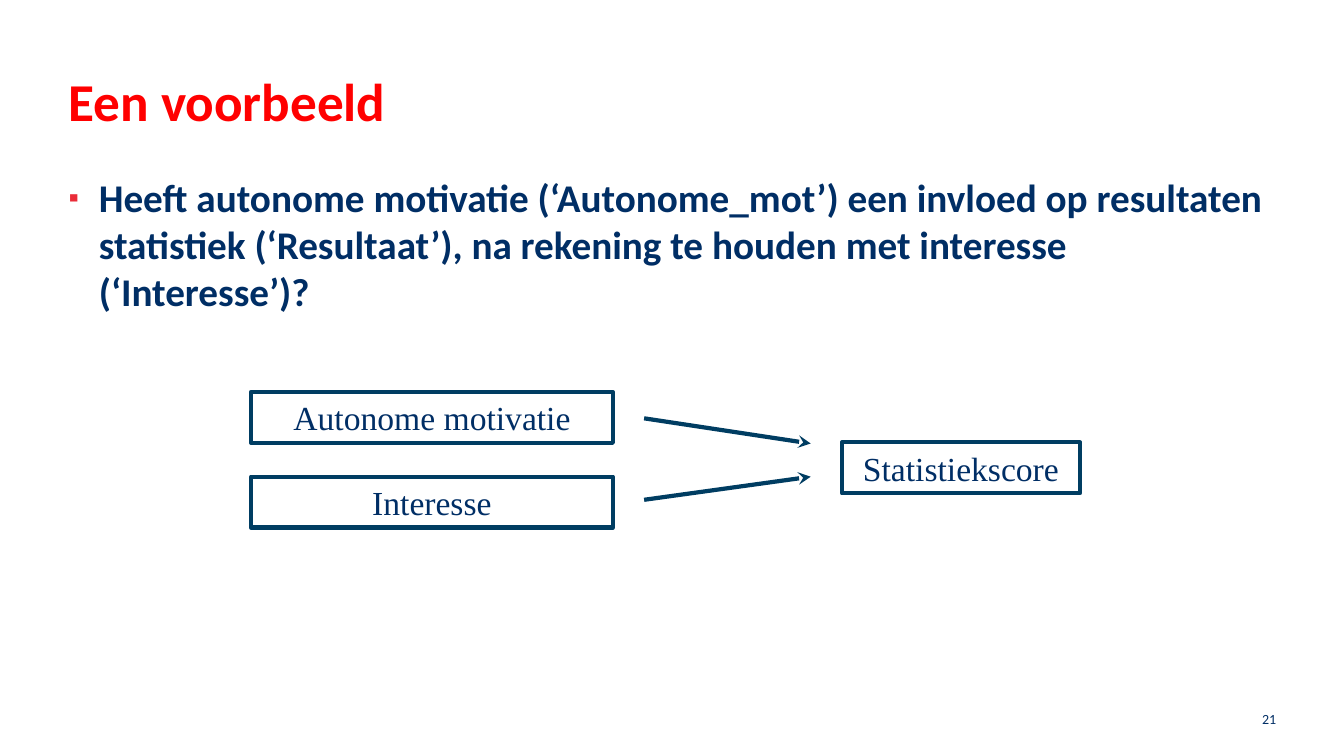
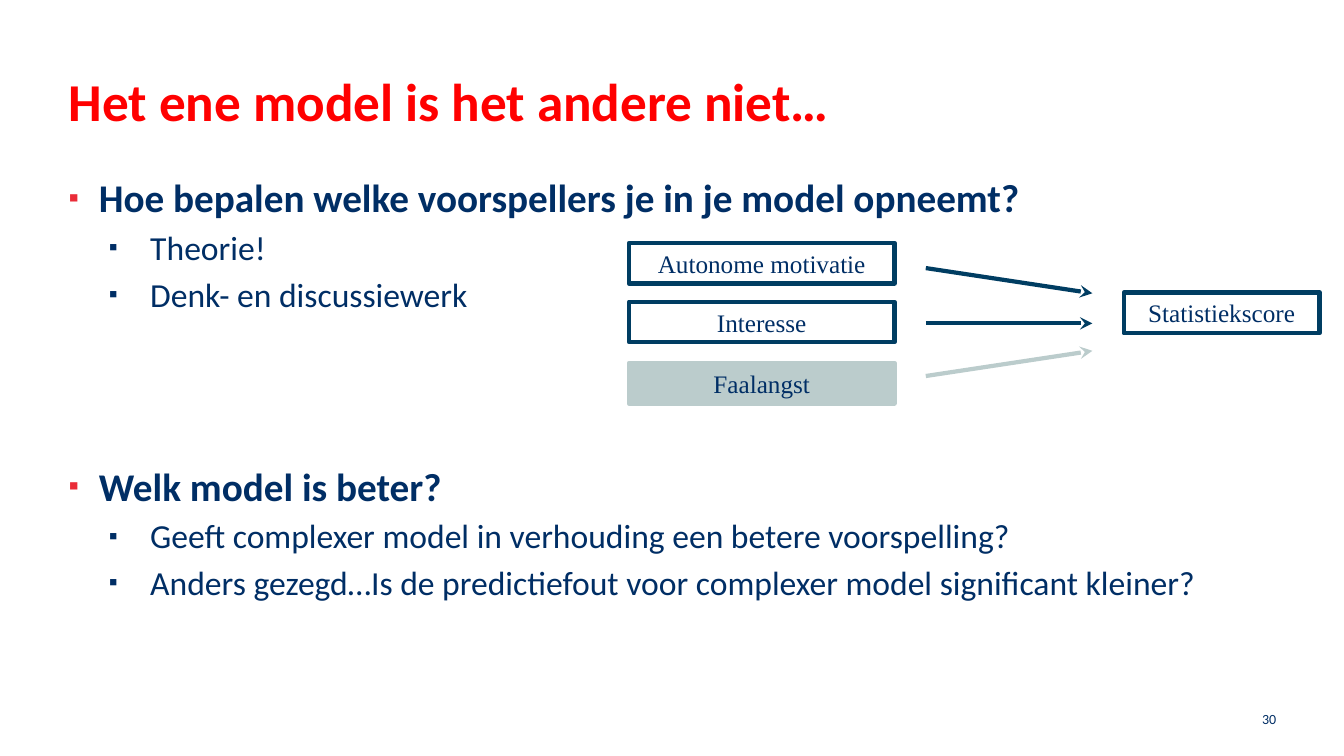
from lxml.etree import SubElement
from pptx import Presentation
from pptx.dml.color import RGBColor
from pptx.enum.shapes import MSO_CONNECTOR, MSO_SHAPE
from pptx.enum.text import MSO_ANCHOR, PP_ALIGN
from pptx.oxml.ns import qn
from pptx.util import Pt

RED = RGBColor(0xFF, 0x00, 0x00)
BULLET_RED = RGBColor(0xEA, 0x2C, 0x38)
NAVY = RGBColor(0x00, 0x2E, 0x65)
TEAL = RGBColor(0x00, 0x3D, 0x62)
GREY = RGBColor(0xBB, 0xCC, 0xCC)


class Deck:
    """Holds the shared style and the current slide."""

    TITLE = dict(name="Calibri", size=Pt(38), bold=True)
    NUMBER = dict(name="Calibri", size=Pt(10))
    # One entry per level: font, bullet colour, text indent, hanging indent
    LEVELS = [
        (dict(name="Calibri", size=Pt(28), bold=True), BULLET_RED, 21.6, 21.6),
        (dict(name="Calibri", size=Pt(24), bold=False), NAVY, 58.3, 29.5),
    ]
    LEFT, WIDTH = 49, 862
    GAP, ARROW = 22.3, 119

    def __init__(self):
        self.prs = Presentation()
        self.prs.slide_width, self.prs.slide_height = Pt(960), Pt(540)

    def new_slide(self, title, number):
        self.s = self.prs.slides.add_slide(self.prs.slide_layouts[6])
        tf = self.text_box(self.LEFT, 49, self.WIDTH, 62.6, 0)
        self.text_run(tf.paragraphs[0], title, self.TITLE, RED)
        tf = self.text_box(702.7, 499, 216, 28.8, 7.2)
        tf.vertical_anchor = MSO_ANCHOR.MIDDLE
        p = tf.paragraphs[0]
        p.alignment = PP_ALIGN.RIGHT
        self.text_run(p, number, self.NUMBER)

    def text_box(self, left, top, width, height, inset):
        tf = self.s.shapes.add_textbox(Pt(left), Pt(top), Pt(width), Pt(height)).text_frame
        tf.word_wrap = True
        tf.margin_left = tf.margin_right = Pt(inset)
        tf.margin_top = tf.margin_bottom = Pt(inset / 2)
        return tf

    def text_run(self, p, text, style, color=NAVY):
        r = p.add_run()
        r.text = text
        for key, value in style.items():
            setattr(r.font, key, value)
        r.font.color.rgb = color

    def bullets(self, items):
        """Each item is (level, text, space before)."""
        tf = self.text_box(self.LEFT, 124, self.WIDTH, 367, 0)
        for i, (level, text, before) in enumerate(items):
            p = tf.paragraphs[0] if i == 0 else tf.add_paragraph()
            style, color, indent, hang = self.LEVELS[level]
            p.level = level
            pPr = p._p.get_or_add_pPr()
            pPr.set("marL", str(Pt(indent)))
            pPr.set("indent", str(-Pt(hang)))
            clr = SubElement(pPr, qn("a:buClr"))
            SubElement(clr, qn("a:srgbClr"), val=str(color))
            SubElement(pPr, qn("a:buSzPct"), val="75000")
            SubElement(pPr, qn("a:buFont"), typeface="Arial")
            SubElement(pPr, qn("a:buChar"), char="▪")
            if before:
                p.space_before = Pt(before)
            self.text_run(p, text, style)

    def box(self, text, left, top, width, height, size, fill=None):
        sp = self.s.shapes.add_shape(
            MSO_SHAPE.RECTANGLE, Pt(left), Pt(top), Pt(width), Pt(height))
        sp.shadow.inherit = False
        if fill is None:
            sp.fill.background()
        else:
            sp.fill.solid()
            sp.fill.fore_color.rgb = fill
        sp.line.color.rgb = fill or TEAL
        sp.line.width = Pt(3)
        tf = sp.text_frame
        tf.word_wrap = True
        tf.vertical_anchor = MSO_ANCHOR.MIDDLE
        p = tf.paragraphs[0]
        p.alignment = PP_ALIGN.CENTER
        self.text_run(p, text, dict(name="Times New Roman", size=Pt(size)))

    def arrow(self, x, y1, y2, color):
        c = self.s.shapes.add_connector(
            MSO_CONNECTOR.STRAIGHT, Pt(x), Pt(y1), Pt(x + self.ARROW), Pt(y2))
        c.line.color.rgb = color
        c.line.width = Pt(3)
        spPr = c._element.spPr
        SubElement(spPr.find(qn("a:ln")), qn("a:tailEnd"), type="stealth")
        SubElement(spPr, qn("a:effectLst"))

    def model(self, left, width, height, size, predictors, outcome):
        """Predictors are (text, top, arrow start y, arrow end y, fill)."""
        arrow_x = left + width + self.GAP
        for text, top, y1, y2, fill in predictors:
            self.box(text, left, top, width, height, size, fill)
            self.arrow(arrow_x, y1, y2, fill or TEAL)
        text, top, outcome_width = outcome
        self.box(text, arrow_x + self.ARROW + self.GAP, top, outcome_width, height, size)


def main():
    deck = Deck()

    # Example with two predictors
    deck.new_slide("Een voorbeeld", "21")
    deck.bullets([
        (0, "Heeft autonome motivatie (‘Autonome_mot’) een invloed op resultaten "
            "statistiek (‘Resultaat’), na rekening te houden met interesse "
            "(‘Interesse’)?", 0),
    ])
    deck.model(179.3, 258.5, 36.4, 24, [
        ("Autonome motivatie", 280, 298.8, 316.8, None),
        ("Interesse", 340.5, 357, 340.5, None),
    ], ("Statistiekscore", 316, 170))

    # Comparing models, with a third predictor
    deck.new_slide("Het ene model is het andere niet…", "30")
    deck.bullets([
        (0, "Hoe bepalen welke voorspellers je in je model opneemt?", 0),
        (1, "Theorie!", 4.6),
        (1, "Denk- en discussiewerk", 4.6),
        (0, "Welk model is beter?", 105.5),
        (1, "Geeft complexer model in verhouding een betere voorspelling?", 4.6),
        (1, "Anders gezegd…Is de predictiefout voor complexer model "
            "significant kleiner?", 4.6),
    ])
    deck.model(449.3, 189.7, 29, 18, [
        ("Autonome motivatie", 173.5, 191.5, 209.5, None),
        ("Interesse", 215.5, 231, 231, None),
        ("Faalangst", 259.2, 268.6, 250.6, GREY),
    ], ("Statistiekscore", 209, 140))

    deck.prs.save("out.pptx")


if __name__ == "__main__":
    main()
